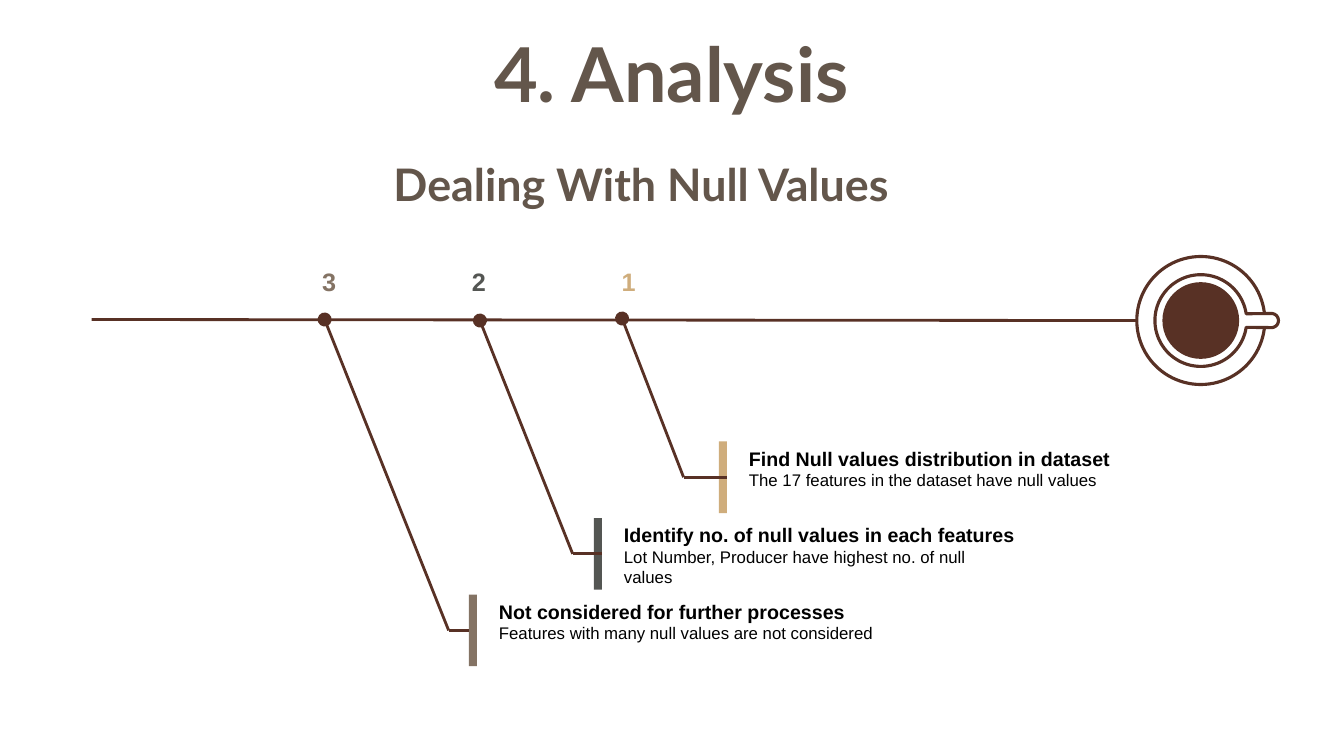
import math

import pptx
import pptx.util
import pptx.dml.color
import pptx.enum.shapes
import pptx.enum.text
import pptx.oxml
import pptx.oxml.ns

Inches = pptx.util.Inches
ALIGN = pptx.enum.text.PP_ALIGN
ANCHOR = pptx.enum.text.MSO_ANCHOR
SHAPE = pptx.enum.shapes.MSO_SHAPE

# Content
TITLE = "4. Analysis"
SUBTITLE = "Dealing With Null Values"
COLORS = {"coffee": "583125", "heading": "63564B", "text": "000000", "white": "FFFFFF",
          "sand": "CFAD7C", "gray": "545653", "taupe": "847364"}
# Dot and elbow are points on the leader; side is the bar side it meets
STEPS = [
    {"number": "1", "color": "sand", "dot": (6.17, 3.16), "elbow": 6.78, "side": 3, "width": 4.1,
     "heading": "Find Null values distribution in dataset",
     "detail": "The 17 features in the dataset have null values"},
    {"number": "2", "color": "gray", "dot": (4.76, 3.18), "elbow": 5.68, "side": 3, "width": 4.1,
     "heading": "Identify no. of null values in each features",
     "detail": "Lot Number, Producer have highest no. of null values"},
    {"number": "3", "color": "taupe", "dot": (3.22, 3.17), "elbow": 4.45, "side": 1, "width": 4.89,
     "heading": "Not considered for further processes",
     "detail": "Features with many null values are not considered"},
]

# Layout
BAR_LEFT, BAR_TOP, BAR_WIDTH, BAR_HEIGHT = 7.13, 4.38, 0.08, 0.71
BAR_STEP_X, BAR_STEP_Y = -1.24, 0.76
NUMBER_LEFT, NUMBER_STEP = 5.79, -1.485
CUP_X, CUP_Y = 11.91, 3.18
SAUCER_RADIUS, CUP_RADIUS, COFFEE_RADIUS = 0.635, 0.455, 0.365
HANDLE_X, HANDLE_RADIUS, HANDLE_ANGLE = 12.61, 0.07, 8.5


def color(name):
    return pptx.dml.color.RGBColor.from_string(COLORS[name])


def write(shape, text, size, color_name, bold=False, font="Arial",
          align=ALIGN.LEFT, anchor=ANCHOR.TOP):
    frame = shape.text_frame
    frame.word_wrap = True
    frame.auto_size = pptx.enum.text.MSO_AUTO_SIZE.NONE
    frame.vertical_anchor = anchor
    paragraph = frame.paragraphs[0]
    paragraph.text = text
    paragraph.alignment = align
    paragraph.font.name = font
    paragraph.font.size = pptx.util.Pt(size)
    paragraph.font.bold = bold
    paragraph.font.color.rgb = color(color_name)


def add_text(slide, box, *args, **style):
    write(slide.shapes.add_textbox(*map(Inches, box)), *args, **style)


def paint(shape, fill, line=None):
    shape.shadow.inherit = False
    shape.fill.solid()
    shape.fill.fore_color.rgb = color(fill)
    if line:
        shape.line.color.rgb = color(line)
        shape.line.width = pptx.util.Pt(2.25)
    else:
        shape.line.fill.background()


def add_line(slide, start, end, dot=False):
    connector = slide.shapes.add_connector(
        pptx.enum.shapes.MSO_CONNECTOR.STRAIGHT, *map(Inches, start + end))
    connector.line.color.rgb = color("coffee")
    connector.line.width = pptx.util.Pt(2)
    if dot:
        head = pptx.oxml.parse_xml(
            f'<a:headEnd {pptx.oxml.ns.nsdecls("a")} type="oval" w="lg" len="lg"/>')
        connector.line._get_or_add_ln().append(head)
    connector._element.spPr.append(
        pptx.oxml.parse_xml(f'<a:effectLst {pptx.oxml.ns.nsdecls("a")}/>'))
    return connector


def add_disc(slide, radius, fill):
    disc = slide.shapes.add_shape(SHAPE.OVAL, *map(
        Inches, (CUP_X - radius, CUP_Y - radius, 2 * radius, 2 * radius)))
    paint(disc, fill, "coffee")


def arc(center_x, radius, start, end, count):
    angles = [math.radians(start + (end - start) * i / count) for i in range(count + 1)]
    return [(Inches(center_x + radius * math.cos(a)), Inches(CUP_Y + radius * math.sin(a)))
            for a in angles]


def add_cup(slide):
    add_disc(slide, SAUCER_RADIUS, "white")
    # Cup rim runs into the rounded handle
    rim = arc(CUP_X, CUP_RADIUS, -HANDLE_ANGLE, HANDLE_ANGLE - 360, 90)
    outline = rim + arc(HANDLE_X, HANDLE_RADIUS, 90, -90, 20)
    builder = slide.shapes.build_freeform(*outline[0])
    builder.add_line_segments(outline[1:], close=True)
    paint(builder.convert_to_shape(), "white", "coffee")
    add_disc(slide, COFFEE_RADIUS, "coffee")


def add_step(slide, index, step):
    left = BAR_LEFT + index * BAR_STEP_X
    top = BAR_TOP + index * BAR_STEP_Y
    middle = top + BAR_HEIGHT / 2
    # Number above the timeline
    add_text(slide, (NUMBER_LEFT + index * NUMBER_STEP, 2.59, 0.89, 0.4), step["number"], 18,
             step["color"], bold=True, align=ALIGN.CENTER, anchor=ANCHOR.MIDDLE)
    # Heading and detail
    add_text(slide, (left + 0.2, top, step["width"], 0.34), step["heading"], 14, "text", bold=True)
    add_text(slide, (left + 0.2, top + 0.23, step["width"], 0.5), step["detail"], 12, "text")
    # Bar and its leader
    bar = slide.shapes.add_shape(
        SHAPE.RECTANGLE, *map(Inches, (left, top, BAR_WIDTH, BAR_HEIGHT)))
    paint(bar, step["color"])
    elbow = (step["elbow"], middle)
    add_line(slide, step["dot"], elbow, dot=True)
    add_line(slide, (left, middle), elbow).begin_connect(bar, step["side"])


def main():
    presentation = pptx.Presentation()
    presentation.slide_width, presentation.slide_height = Inches(13.33), Inches(7.5)
    slide = presentation.slides.add_slide(presentation.slide_layouts.get_by_name("Title Only"))

    # Title and subtitle
    title = slide.shapes.title
    title.left, title.top, title.width, title.height = map(Inches, (4.01, 0.13, 5.3, 1.18))
    heading_style = {"bold": True, "font": "Lato", "align": ALIGN.CENTER, "anchor": ANCHOR.MIDDLE}
    write(title, TITLE, 54, "heading", **heading_style)
    add_text(slide, (3.49, 1.23, 5.74, 1.18), SUBTITLE, 32, "heading", **heading_style)

    # Timeline, steps and cup
    add_line(slide, (0.91, 3.17), (11.27, 3.18))
    for index, step in enumerate(STEPS):
        add_step(slide, index, step)
    add_cup(slide)
    presentation.save("out.pptx")


if __name__ == "__main__":
    main()
